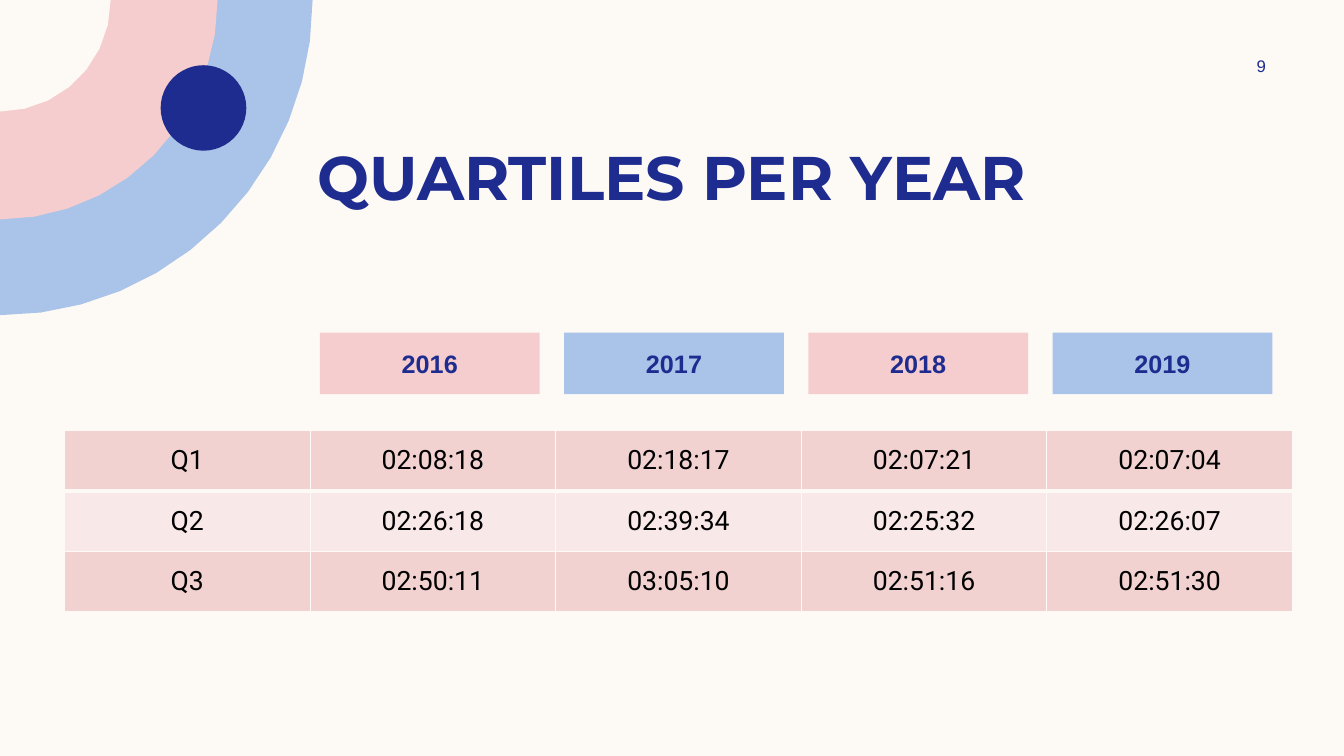
from dataclasses import dataclass
from math import cos, pi, sin

from lxml.etree import SubElement
from pptx import Presentation
from pptx.dml.color import RGBColor
from pptx.enum.shapes import MSO_CONNECTOR as Connector, MSO_SHAPE as Shape
from pptx.enum.text import MSO_ANCHOR as Anchor, PP_ALIGN as Align
from pptx.oxml.ns import qn
from pptx.util import Inches, Pt


@dataclass(frozen=True)
class Theme:
    """Colours, fonts and type sizes of the deck."""
    cream: str = "FDFAF6"
    blue: str = "AAC3E8"
    pink: str = "F5CDCE"
    navy: str = "1F2C8F"
    black: str = "000000"
    bands: tuple = ("F2D1D1", "F8E8E8")
    title_font: str = "Montserrat"
    label_font: str = "Arial"
    table_font: str = "Roboto"
    title_size: int = 44
    label_size: int = 18
    table_size: int = 19
    number_size: int = 12


THEME = Theme()
SLIDE_WIDTH, SLIDE_HEIGHT = Inches(13.33), Inches(7.5)
YEARS = ("2016", "2017", "2018", "2019")
QUARTILES = (
    ("Q1", "02:08:18", "02:18:17", "02:07:21", "02:07:04"),
    ("Q2", "02:26:18", "02:39:34", "02:25:32", "02:26:07"),
    ("Q3", "02:50:11", "03:05:10", "02:51:16", "02:51:30"),
)


@dataclass(frozen=True)
class Box:
    """A rectangle in percent of the slide's width and height."""
    left: float
    top: float
    width: float
    height: float

    def emu(self):
        """Return left, top, width and height in EMU."""
        return (int(SLIDE_WIDTH * self.left / 100), int(SLIDE_HEIGHT * self.top / 100),
                int(SLIDE_WIDTH * self.width / 100), int(SLIDE_HEIGHT * self.height / 100))

    def columns(self, count, gap):
        """Split the box into equal columns with a gap between them."""
        width = (self.width - gap * (count - 1)) / count
        return [Box(self.left + index * (width + gap), self.top, width, self.height)
                for index in range(count)]


def paint(shape, colour):
    """Give a shape a plain fill without line or shadow."""
    shape.shadow.inherit = False
    shape.fill.solid()
    shape.fill.fore_color.rgb = RGBColor.from_string(colour)
    shape.line.fill.background()


def write(frame, text, font, size, colour, bold=False):
    """Write one centred line in the middle of a text frame."""
    frame.word_wrap = True
    frame.vertical_anchor = Anchor.MIDDLE
    paragraph = frame.paragraphs[0]
    paragraph.text = text
    paragraph.alignment = Align.CENTER
    paragraph.font.name = font
    paragraph.font.size = Pt(size)
    paragraph.font.bold = bold
    paragraph.font.color.rgb = RGBColor.from_string(colour)


def add_quarter_disc(slide, box, colour, steps):
    """Draw a quarter disc with its centre at the box's top left corner."""
    left, top, width, height = box.emu()
    angles = [pi / 2 * step / steps for step in range(steps + 1)]
    arc = [(left + int(width * cos(angle)), top + int(height * sin(angle)))
           for angle in angles]
    builder = slide.shapes.build_freeform(left, top)
    builder.add_line_segments(arc, close=True)
    paint(builder.convert_to_shape(), colour)


def add_corner_rings(slide, box):
    """Draw the rings in the corner and the dot on them."""
    rings = ((1, THEME.blue, 12), (0.696, THEME.pink, 10), (0.354, THEME.cream, 7))
    for share, colour, steps in rings:
        disc = Box(box.left, box.top, box.width * share, box.height * share)
        add_quarter_disc(slide, disc, colour, steps)
    dot = Box(box.left + box.width * 0.514, box.top + box.height * 0.207,
              box.width * 0.274, box.height * 0.271)
    paint(slide.shapes.add_shape(Shape.OVAL, *dot.emu()), THEME.navy)


def add_rule(slide, box):
    """Draw a thin horizontal rule along the top of the box."""
    left, top, width, _ = box.emu()
    rule = slide.shapes.add_connector(Connector.STRAIGHT, left, top, left + width, top)
    rule.line.color.rgb = RGBColor.from_string(THEME.bands[0])
    rule.line.width = Pt(1)
    SubElement(rule._element.spPr, qn("a:effectLst"))


def add_title(slide, box, text):
    """Place the slide's title."""
    title = slide.shapes.title
    title.left, title.top, title.width, title.height = box.emu()
    write(title.text_frame, text, THEME.title_font, THEME.title_size, THEME.navy, True)


def add_page_number(slide, box, number):
    """Place the page number."""
    frame = slide.shapes.add_textbox(*box.emu()).text_frame
    write(frame, number, THEME.label_font, THEME.number_size, THEME.navy)


def add_year_labels(slide, box):
    """Draw a row of year labels in alternating colours."""
    for index, (year, place) in enumerate(zip(YEARS, box.columns(len(YEARS), 1.82))):
        label = slide.shapes.add_shape(Shape.RECTANGLE, *place.emu())
        paint(label, (THEME.pink, THEME.blue)[index % 2])
        frame = label.text_frame
        frame.margin_left = frame.margin_right = frame.margin_top = frame.margin_bottom = 0
        write(frame, year, THEME.label_font, THEME.label_size, THEME.navy, True)


def set_borders(cell, left, right, top, bottom):
    """Draw a cell's borders in the background colour, widths in points."""
    properties = cell._tc.get_or_add_tcPr()
    for side, width in zip("LRTB", (left, right, top, bottom)):
        line = SubElement(properties, qn(f"a:ln{side}"), w=str(Pt(width)))
        fill = SubElement(line, qn("a:solidFill"))
        SubElement(fill, qn("a:srgbClr"), val=THEME.cream)


def add_quartile_table(slide, box):
    """Draw the banded table of quartile times."""
    left, top, width, height = box.emu()
    row_count, column_count = len(QUARTILES), len(QUARTILES[0])
    table = slide.shapes.add_table(row_count, column_count, left, top, width, height).table
    table.first_row = table.horz_banding = False
    for row, values in enumerate(QUARTILES):
        for column, value in enumerate(values):
            cell = table.cell(row, column)
            set_borders(cell, 1, 1, 3 if row == 1 else 1, 3 if row == 0 else 1)
            cell.fill.solid()
            cell.fill.fore_color.rgb = RGBColor.from_string(THEME.bands[row % 2])
            cell.vertical_anchor = Anchor.MIDDLE
            write(cell.text_frame, value, THEME.table_font, THEME.table_size, THEME.black)


def add_quartile_slide(presentation):
    """Build the slide of quartiles per year."""
    slide = presentation.slides.add_slide(presentation.slide_layouts[5])
    slide.background.fill.solid()
    slide.background.fill.fore_color.rgb = RGBColor.from_string(THEME.cream)
    add_corner_rings(slide, Box(0, 0, 23.26, 41.7))
    add_rule(slide, Box(6.08, 61.07, 88.67, 0))
    add_title(slide, Box(6.25, 17.6, 87.5, 11.2), "QUARTILES PER YEAR")
    add_page_number(slide, Box(89.8, 6.67, 8.1, 4), "9")
    add_year_labels(slide, Box(23.8, 44, 70.87, 8.13))
    add_quartile_table(slide, Box(4.8, 56.93, 91.37, 24))


def main():
    """Create the presentation and save it."""
    presentation = Presentation()
    presentation.slide_width, presentation.slide_height = SLIDE_WIDTH, SLIDE_HEIGHT
    add_quartile_slide(presentation)
    presentation.save("out.pptx")


if __name__ == "__main__":
    main()
